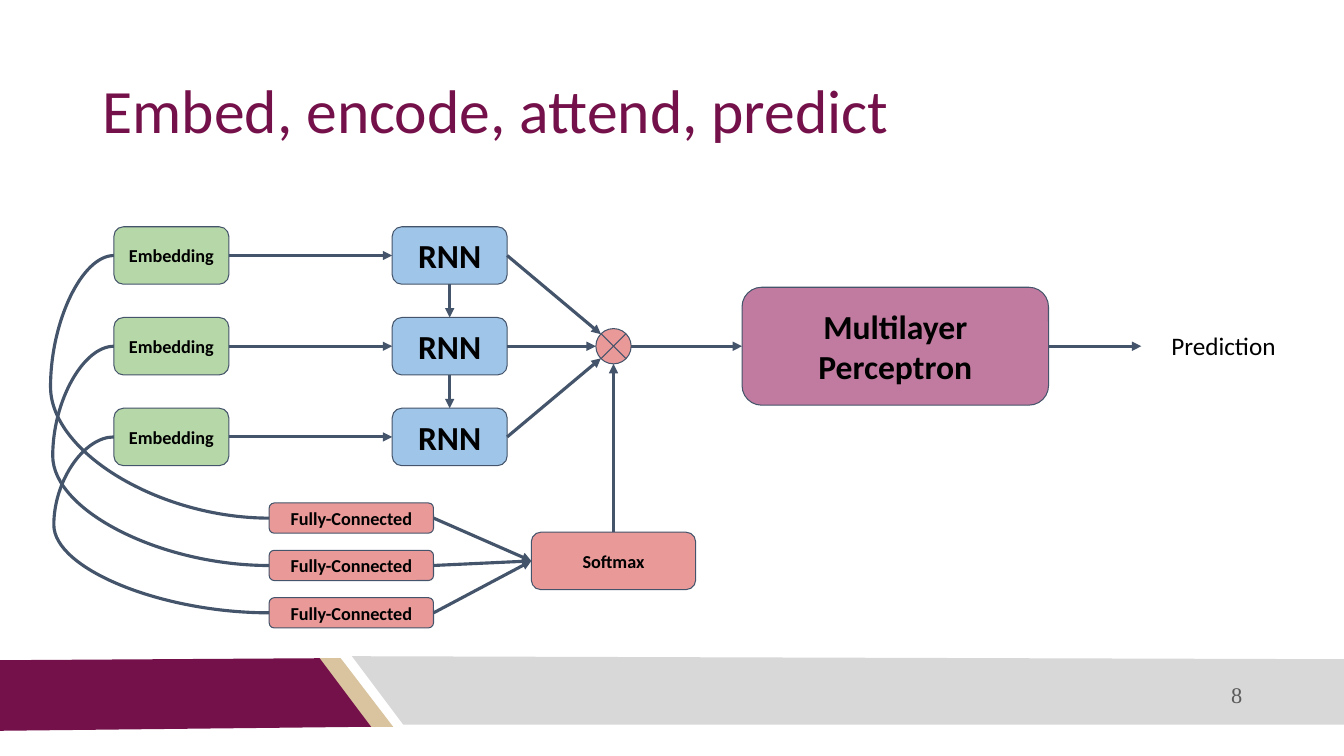
from lxml import etree
from pptx import Presentation
from pptx.dml.color import RGBColor
from pptx.enum.shapes import MSO_CONNECTOR as Link, MSO_SHAPE as Shape
from pptx.enum.text import MSO_ANCHOR as Anchor, PP_ALIGN as Align
from pptx.oxml.ns import qn
from pptx.util import Inches, Pt

TOP, LEFT, BASE, RIGHT = range(4)
INK = "44546A"
WINE = "75114A"
ROSE = "EA9999"


def tint(code):
    return RGBColor.from_string(code)


def write(shape, text, size, color="000000", bold=False, align=Align.CENTER,
          anchor=Anchor.MIDDLE, face="Calibri"):
    frame = shape.text_frame
    frame.text = text
    frame.word_wrap = True
    frame.vertical_anchor = anchor
    frame.margin_left = frame.margin_right = Inches(0.1)
    frame.margin_top = frame.margin_bottom = Inches(0.1)
    para = frame.paragraphs[0]
    para.alignment = align
    font = para.runs[0].font
    font.name, font.size, font.bold = face, Pt(size), bold
    font.color.rgb = tint(color)
    return para


def label(slide, box, text, size, **style):
    shape = slide.shapes.add_textbox(*map(Inches, box))
    return write(shape, text, size, **style)


def node(slide, box, fill, text="", size=13, kind=Shape.ROUNDED_RECTANGLE):
    shape = slide.shapes.add_shape(kind, *map(Inches, box))
    shape.shadow.inherit = False
    shape.fill.solid()
    shape.fill.fore_color.rgb = tint(fill)
    shape.line.color.rgb = tint(INK)
    shape.line.width = Pt(0.75)
    if text:
        write(shape, text, size, bold=True)
    return shape


def side(shape, index):
    x = {LEFT: 0, RIGHT: 1}.get(index, 0.5)
    y = {TOP: 0, BASE: 1}.get(index, 0.5)
    return (shape.left + int(x * shape.width), shape.top + int(y * shape.height))


def wire(slide, start, end, kind=Link.STRAIGHT):
    line = slide.shapes.add_connector(kind, *start, *end)
    line.line.color.rgb = tint(INK)
    line.line.width = Pt(2.25)
    etree.SubElement(line._element.spPr, qn("a:effectLst"))
    return line


def arrow(slide, start, end, tail=None, head=None):
    line = wire(slide, start, end)
    stroke = line.line._get_or_add_ln()
    etree.SubElement(stroke, qn("a:tailEnd"), type="triangle")
    if tail:
        line.begin_connect(*tail)
    if head:
        line.end_connect(*head)


def join(slide, tail, head):
    arrow(slide, side(*tail), side(*head), tail, head)


def curve(slide, start, end, bend):
    line = wire(slide, start, end, Link.CURVE)
    guides = line._element.spPr.find(qn("a:prstGeom")).find(qn("a:avLst"))
    etree.SubElement(guides, qn("a:gd"), name="adj1", fmla=f"val {bend}")


def footer(slide, left, top):
    bands = [
        ("D9C49F", [(3.16, 0.02), (3.38, 0.02), (3.9, 0.7), (3.67, 0.7)]),
        (WINE, [(-0.01, 0.04), (3.17, 0.02), (3.68, 0.7), (-0.01, 0.74)]),
        ("D8D8D8", [(3.49, 0), (13.34, 0.03), (13.37, 0.68), (4, 0.68)]),
    ]
    for color, dots in bands:
        dots = [(Inches(left + x), Inches(top + y)) for x, y in dots]
        pen = slide.shapes.build_freeform(*dots[0])
        pen.add_line_segments(dots[1:], close=True)
        band = pen.convert_to_shape()
        band.shadow.inherit = False
        band.fill.solid()
        band.fill.fore_color.rgb = tint(color)
        band.line.fill.background()
    label(slide, (left + 7.92, top + 0.18, 4.5, 0.4), "8", 16, color="595959",
          align=Align.RIGHT, face="Times New Roman")


def heading(slide, box):
    para = label(slide, box, "Embed, encode, attend, predict", 44,
                 color=WINE, align=Align.LEFT)
    para.line_spacing = 0.9


def encode(slide, left, top):
    words, cells = [], []
    for row in range(3):
        y = top + 0.9 * row
        word = node(slide, (left, y, 1.14, 0.57), "B6D7A8", "Embedding")
        cell = node(slide, (left + 2.76, y, 1.14, 0.57), "9FC5E8", "RNN", 24)
        join(slide, (word, RIGHT), (cell, LEFT))
        if cells:
            join(slide, (cells[-1], BASE), (cell, TOP))
        words.append(word)
        cells.append(cell)
    return words, cells


def attend(slide, left, top, words, cells):
    soft = node(slide, (left + 2.6, top + 0.29, 1.63, 0.57), ROSE, "Softmax")
    for row, (word, bend) in enumerate(zip(words, (-40800, -39400, -38700))):
        dense = node(slide, (left, top + 0.47 * row, 1.63, 0.3), ROSE,
                     "Fully-Connected")
        curve(slide, side(word, LEFT), side(dense, LEFT), bend)
        join(slide, (dense, RIGHT), (soft, LEFT))
    blend = node(slide, (left + 3.24, top - 1.73, 0.35, 0.35), ROSE,
                 kind=Shape.FLOWCHART_SUMMING_JUNCTION)
    arrow(slide, side(soft, TOP), side(blend, BASE), tail=(soft, TOP))
    x, y = side(blend, LEFT)
    for cell, dx, dy in zip(cells, (0.05, 0, 0.05), (-0.12, 0, 0.12)):
        arrow(slide, side(cell, RIGHT), (x + Inches(dx), y + Inches(dy)),
              tail=(cell, RIGHT))
    return blend


def predict(slide, left, top, blend):
    mind = node(slide, (left, top, 3.04, 1.17), "C27BA0",
                "Multilayer Perceptron", 24)
    arrow(slide, side(blend, RIGHT), side(mind, LEFT), head=(mind, LEFT))
    x, y = side(mind, RIGHT)
    arrow(slide, (x, y), (x + Inches(0.92), y), tail=(mind, RIGHT))
    label(slide, (left + 3.96, top + 0.33, 1.63, 0.5), "Prediction", 18,
          anchor=Anchor.TOP)


def main():
    deck = Presentation()
    deck.slide_width, deck.slide_height = Inches(13.33), Inches(7.5)
    slide = deck.slides.add_slide(deck.slide_layouts[6])
    footer(slide, 0, 6.51)
    heading(slide, (0.92, 0.4, 11.5, 1.45))
    words, cells = encode(slide, 1.13, 2.25)
    blend = attend(slide, 2.67, 4.99, words, cells)
    predict(slide, 7.36, 2.85, blend)
    deck.save("out.pptx")


if __name__ == "__main__":
    main()
